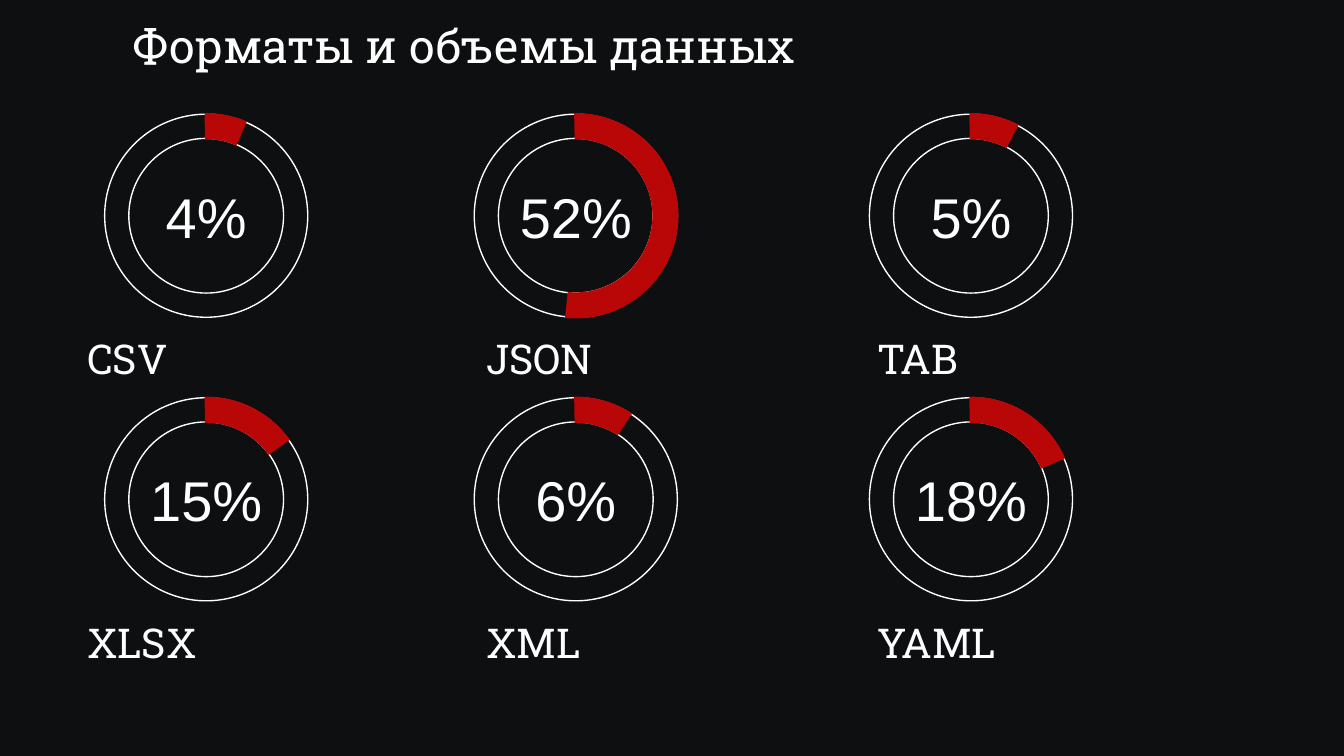
import pptx
import pptx.util
import pptx.dml.color
import pptx.enum.shapes
import pptx.enum.text

Pt = pptx.util.Pt
SHAPE = pptx.enum.shapes.MSO_SHAPE
ANCHOR = pptx.enum.text.MSO_ANCHOR
ALIGN = pptx.enum.text.PP_ALIGN

TITLE = "Форматы и объемы данных"
# format, share, sweep of the arc in degrees
ROWS = [
    [("CSV", "4%", 24.2), ("JSON", "52%", 187), ("TAB", "5%", 28.6)],
    [("XLSX", "15%", 55.5), ("XML", "6%", 34.2), ("YAML", "18%", 67.4)],
]
COLORS = {"background": "0D0F10", "text": "FFFFFF", "arc": "B90707"}

COLUMNS = [(110.5, 39.6), (308.5, 253.4), (520.2, 463)]  # ring centre, label left
FIRST_CENTER_Y, ROW_PITCH = 115.6, 151.9
RING_SIZE, ARC_SIZE = 108.8, 110
VALUE_WIDTH, VALUE_HEIGHT = 81.4, 32
LABEL_DROP, LABEL_WIDTH, LABEL_HEIGHT = 62.2, 173.5, 34.6
ARC_START = 270.94
ADJUSTMENT_PER_DEGREE = 0.6


def color(name):
    return pptx.dml.color.RGBColor.from_string(COLORS[name])


def add_text(slide, text, left, top, width, height, size, font="Roboto Slab",
             anchor=ANCHOR.TOP, align=ALIGN.LEFT, margin_top=7.2):
    tf = slide.shapes.add_textbox(Pt(left), Pt(top), Pt(width), Pt(height)).text_frame
    tf.word_wrap = True
    tf.vertical_anchor = anchor
    tf.margin_left = tf.margin_right = tf.margin_bottom = Pt(7.2)
    tf.margin_top = Pt(margin_top)
    p = tf.paragraphs[0]
    p.text = text
    p.alignment = align
    p.font.size = Pt(size)
    p.font.name = font
    p.font.color.rgb = color("text")


def add_centered(slide, kind, cx, cy, size):
    s = slide.shapes.add_shape(kind, Pt(cx - size / 2), Pt(cy - size / 2), Pt(size), Pt(size))
    s.shadow.inherit = False
    return s


def add_gauge(slide, cx, cy, value, sweep):
    """Outlined ring, clockwise arc from the top, and the share in the middle."""
    ring = add_centered(slide, SHAPE.DONUT, cx, cy, RING_SIZE)
    ring.adjustments[0] = 0.119
    ring.fill.background()
    ring.line.color.rgb = color("text")
    ring.line.width = Pt(0.75)

    arc = add_centered(slide, SHAPE.BLOCK_ARC, cx, cy, ARC_SIZE)
    arc.adjustments[0] = (ARC_START - sweep) * ADJUSTMENT_PER_DEGREE
    arc.adjustments[1] = ARC_START * ADJUSTMENT_PER_DEGREE
    arc.adjustments[2] = 0.127
    arc._element.spPr.xfrm.set("flipH", "1")
    arc.fill.solid()
    arc.fill.fore_color.rgb = color("arc")
    arc.line.fill.background()

    add_text(slide, value, cx - VALUE_WIDTH / 2, cy - VALUE_HEIGHT / 2,
             VALUE_WIDTH, VALUE_HEIGHT, 30, "Arial", ANCHOR.MIDDLE, ALIGN.CENTER)


def main():
    prs = pptx.Presentation()
    prs.slide_width, prs.slide_height = Pt(720), Pt(405)
    slide = prs.slides.add_slide(prs.slide_layouts[6])
    slide.background.fill.solid()
    slide.background.fill.fore_color.rgb = color("background")

    add_text(slide, TITLE, 64, -7.2, 607, 80, 25, margin_top=16.4)
    for i, row in enumerate(ROWS):
        cy = FIRST_CENTER_Y + i * ROW_PITCH
        for (cx, label_left), (label, value, sweep) in zip(COLUMNS, row):
            add_gauge(slide, cx, cy, value, sweep)
            add_text(slide, label, label_left, cy + LABEL_DROP,
                     LABEL_WIDTH, LABEL_HEIGHT, 22, anchor=ANCHOR.BOTTOM)
    prs.save("out.pptx")


if __name__ == "__main__":
    main()
